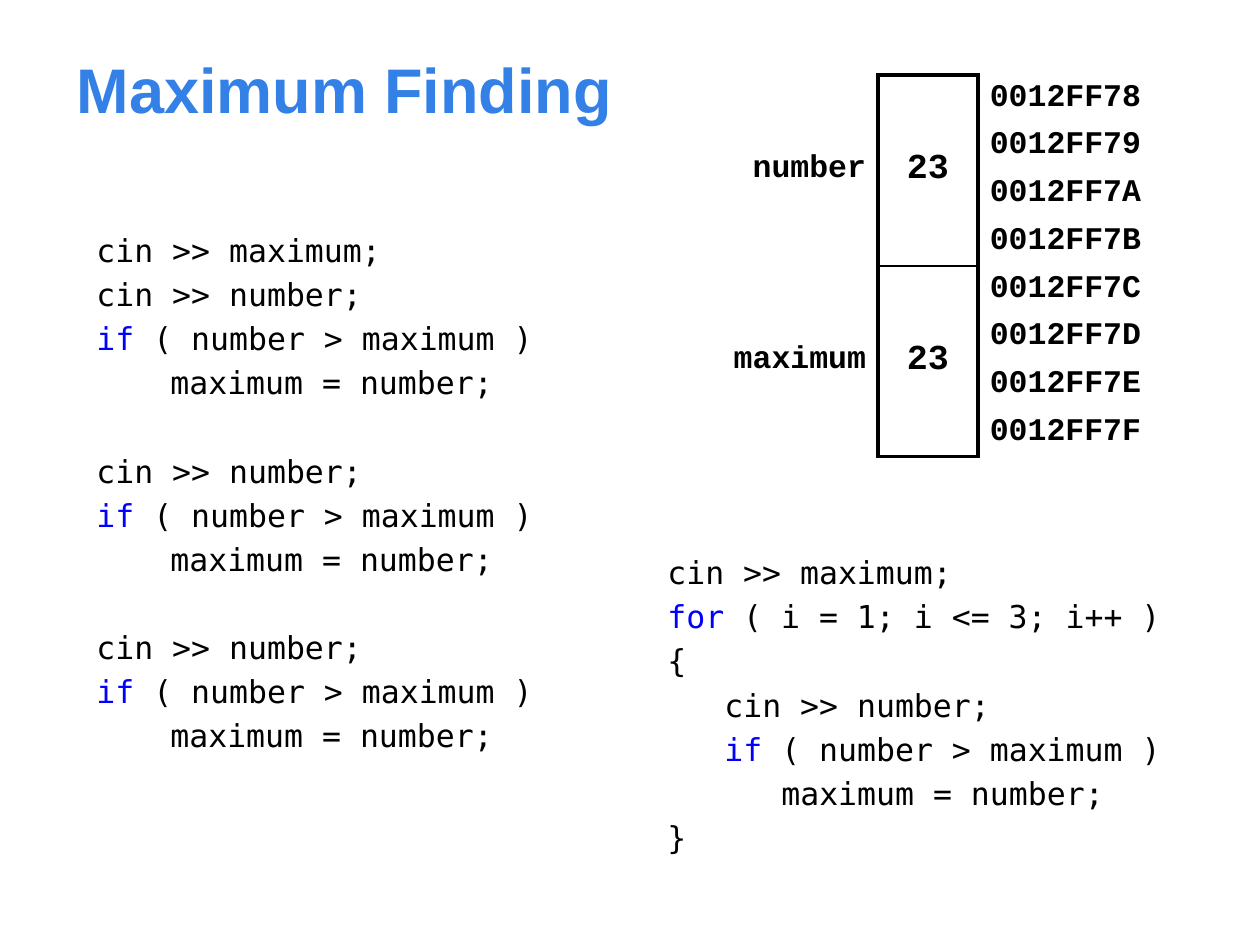
from pptx import Presentation
from pptx.util import Pt
from pptx.dml.color import RGBColor as Rgb
from pptx.enum.text import PP_ALIGN as Al, MSO_ANCHOR as Anc
from pptx.oxml import parse_xml
from pptx.oxml.ns import nsdecls

PX = 914400 // 126
THEME = {
    "ink": "000000", "head": "3380E6", "key": "0000FF",
    "sans": "Arial", "mono": "Courier New", "code": "DejaVu Sans Mono",
    "big": 36, "mid": 20, "base": 18, "gap": 3.6, "blank": 28.8,
    "thick": 2.25, "thin": 1,
}
TITLE = ("Maximum Finding", (59, 27, 571, 123))
KEYS = ("if", "for")
STEP = [(0, "cin >> number;"), (0, "if ( number > maximum )"),
        (1, "maximum = number;")]
CODE = [
    {"box": (84, 225, 471, 546), "tab": 74,
     "blocks": [[(0, "cin >> maximum;")] + STEP, STEP, STEP]},
    {"box": (655, 547, 520, 323), "tab": 57,
     "blocks": [[(0, "cin >> maximum;"), (0, "for ( i = 1; i <= 3; i++ )"),
                 (0, "{"), (1, "cin >> number;"),
                 (1, "if ( number > maximum )"),
                 (2, "maximum = number;"), (0, "}")]]},
]
VARS = [("number", "23"), ("maximum", "23")]
ADDR = ["0012FF78", "0012FF79", "0012FF7A", "0012FF7B",
        "0012FF7C", "0012FF7D", "0012FF7E", "0012FF7F"]
GRID = (704, 75, 448, 382)
COLS = (174, 100, 174)
NO_STYLE = "{2D5ABB26-0587-4C30-8999-92F81FD0307C}"


def emu(vals):
    return [round(v * PX) for v in vals]


def style(run, face, size, color="ink", bold=False):
    font = run.font
    font.name = THEME[face]
    font.size = Pt(THEME[size])
    font.bold = bold
    font.color.rgb = Rgb.from_string(THEME[color])


def add_box(slide, box):
    frame = slide.shapes.add_textbox(*emu(box)).text_frame
    frame.word_wrap = True
    return frame


def add_line(para, text):
    word, sep, rest = text.partition(" ")
    parts = [(word, "key"), (sep + rest, "ink")]
    if word not in KEYS:
        parts = [(text, "ink")]
    for part, color in parts:
        run = para.add_run()
        run.text = part
        style(run, "code", "base", color)


def add_code(slide, code):
    frame = add_box(slide, code["box"])
    for num, block in enumerate(code["blocks"]):
        for row, (level, text) in enumerate(block):
            first = num == 0 and row == 0
            para = frame.paragraphs[0] if first else frame.add_paragraph()
            gap = "blank" if num and row == 0 else "gap"
            para.space_before = Pt(THEME[gap])
            props = para._p.get_or_add_pPr()
            props.set("marL", str(level * code["tab"] * PX))
            add_line(para, text)


def fill_cell(cell, text, size, align, pads):
    cell.text_frame.text = text
    cell.vertical_anchor = Anc.MIDDLE
    (cell.margin_left, cell.margin_top,
     cell.margin_right, cell.margin_bottom) = emu(pads)
    para = cell.text_frame.paragraphs[0]
    para.alignment = align
    style(para.runs[0], "mono", size, bold=True)


def set_edges(cell, edges):
    cell.fill.background()
    props = cell._tc.get_or_add_tcPr()
    sides = [side for side in "LRTB" if side in edges]
    for spot, side in enumerate(sides):
        width = Pt(THEME[edges[side]])
        props.insert(spot, parse_xml(
            f'<a:ln{side} {nsdecls("a")} w="{width}"><a:solidFill>'
            f'<a:srgbClr val="{THEME["ink"]}"/></a:solidFill></a:ln{side}>'))


def add_memory(slide):
    count = len(ADDR)
    span = count // len(VARS)
    grid = slide.shapes.add_table(count, len(COLS), *emu(GRID)).table
    grid.first_row = grid.horz_banding = False
    grid._tbl.tblPr[0].text = NO_STYLE
    for col, width in zip(grid.columns, emu(COLS)):
        col.width = width
    for row, addr in enumerate(ADDR):
        grid.rows[row].height = round(GRID[3] * PX / count)
        top = "thick" if row < span else "thin"
        low = "thick" if row >= count - span else "thin"
        edges = [{"R": "thick"},
                 {"L": "thick", "R": "thick", "T": top, "B": low},
                 {"L": "thick"}]
        for col, edge in enumerate(edges):
            set_edges(grid.cell(row, col), edge)
        fill_cell(grid.cell(row, 2), addr, "base", Al.LEFT, (12, 2, 4, 4))
    for num, pair in enumerate(VARS):
        looks = [("base", Al.RIGHT), ("mid", Al.CENTER)]
        for col, (text, look) in enumerate(zip(pair, looks)):
            cell = grid.cell(num * span, col)
            cell.merge(grid.cell(num * span + span - 1, col))
            fill_cell(cell, text, *look, (12, 0, 12, 3))


deck = Presentation()
deck.slide_width, deck.slide_height = emu((1260, 945))
slide = deck.slides.add_slide(deck.slide_layouts[6])

text, box = TITLE
frame = add_box(slide, box)
frame.text = text
frame.vertical_anchor = Anc.MIDDLE
frame.paragraphs[0].alignment = Al.CENTER
style(frame.paragraphs[0].runs[0], "sans", "big", "head", True)

for code in CODE:
    add_code(slide, code)
add_memory(slide)
deck.save("out.pptx")
